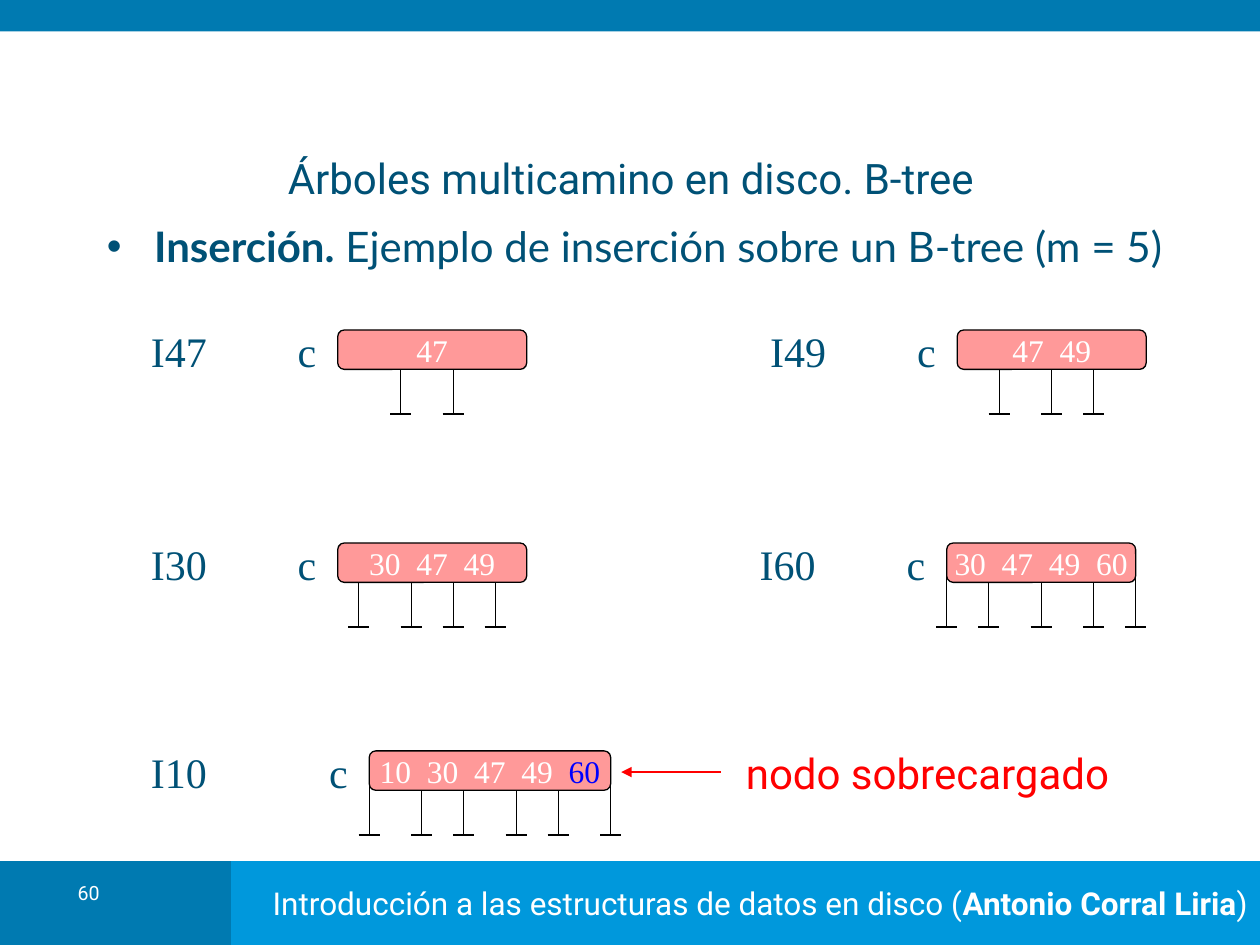
"""Build a slide showing successive insertions into a B-tree of order five."""
from lxml.etree import SubElement
from pptx import Presentation
from pptx.dml.color import RGBColor
from pptx.enum.shapes import MSO_CONNECTOR as Connector, MSO_SHAPE as Shape
from pptx.enum.text import MSO_ANCHOR as Anchor, PP_ALIGN as Align
from pptx.oxml.ns import qn
from pptx.util import Pt

COLORS = {
    "dark_blue": "007AB1", "blue": "0098DC", "text": "005176", "white": "FFFFFF",
    "node": "FF9999", "black": "000000", "red": "FF0000", "new_key": "0000FF",
}
SERIF = "Times New Roman"
SANS = "Roboto"
ROWS = (188.6, 310.3, 429.1)
STEPS = [
    ("I47", 79.2, 193, ROWS[0], 108, ["47"], (36, 66)),
    ("I30", 79.2, 193, ROWS[1], 108, ["30", "47", "49"], (12, 42, 66, 90)),
    ("I49", 433, 547, ROWS[0], 108, ["47", "49"], (24, 54, 78)),
    ("I60", 427, 541, ROWS[1], 108, ["30", "47", "49", "60"], (0, 24, 54, 84, 108)),
    ("I10", 79.2, 211, ROWS[2], 138, ["10", "30", "47", "49"], (0, 30, 54, 84, 108, 138)),
]


def color(name):
    return RGBColor.from_string(COLORS[name])


def add_run(paragraph, text, size, font, color_name, bold=False):
    run = paragraph.add_run()
    run.text = text
    run.font.size = Pt(size)
    run.font.name = font
    run.font.bold = bold
    run.font.color.rgb = color(color_name)


def add_text(shapes, left, top, width, height, align=Align.LEFT, anchor=Anchor.TOP):
    frame = shapes.add_textbox(Pt(left), Pt(top), Pt(width), Pt(height)).text_frame
    frame.word_wrap = True
    frame.vertical_anchor = anchor
    paragraph = frame.paragraphs[0]
    paragraph.alignment = align
    return paragraph


def add_box(shapes, kind, left, top, width, height, fill, outline=None):
    shape = shapes.add_shape(kind, Pt(left), Pt(top), Pt(width), Pt(height))
    shape.shadow.inherit = False
    shape.fill.solid()
    shape.fill.fore_color.rgb = color(fill)
    if outline:
        shape.line.color.rgb = color(outline)
        shape.line.width = Pt(0.75)
    else:
        shape.line.fill.background()
    shape.text_frame.word_wrap = False
    shape.text_frame.vertical_anchor = Anchor.MIDDLE
    return shape


def add_line(shapes, x1, y1, x2, y2, color_name="black", arrow=False):
    line = shapes.add_connector(Connector.STRAIGHT, Pt(x1), Pt(y1), Pt(x2), Pt(y2))
    line.line.color.rgb = color(color_name)
    line.line.width = Pt(0.75)
    if arrow:
        SubElement(line.line._get_or_add_ln(), qn("a:tailEnd"), type="triangle")
    SubElement(line._element.spPr, qn("a:effectLst"))


def add_bullet(paragraph, indent):
    properties = paragraph._p.get_or_add_pPr()
    properties.set("marL", str(Pt(indent)))
    properties.set("indent", str(-Pt(indent)))
    bullet_color = SubElement(properties, qn("a:buClr"))
    SubElement(bullet_color, qn("a:srgbClr"), val=COLORS["text"])
    SubElement(properties, qn("a:buFont"), typeface="Arial")
    SubElement(properties, qn("a:buChar"), char="•")


def add_step(slide, label, label_left, left, top, width, keys, pointers, new_key=None):
    shapes = slide.shapes.add_group_shape().shapes
    bottom = top + 48
    for offset in pointers:
        x = left + offset
        add_line(shapes, x, top + 18, x, bottom)
        add_line(shapes, x - 6, bottom, x + 6, bottom)
    node = add_box(shapes, Shape.ROUNDED_RECTANGLE, left, top, width, 22.5, "node", "black")
    paragraph = node.text_frame.paragraphs[0]
    paragraph.alignment = Align.CENTER
    if new_key:
        add_run(paragraph, "  ".join(keys) + "  ", 18, SERIF, "white")
        add_run(paragraph, new_key, 18, SERIF, "new_key")
    else:
        add_run(paragraph, "  ".join(keys), 18, SERIF, "white")
    for text, text_left, text_width in ((label, label_left, 66), ("c", left - 30, 24)):
        paragraph = add_text(shapes, text_left, top - 6, text_width, 36)
        add_run(paragraph, text, 24, SERIF, "text")


def add_frame(slide):
    shapes = slide.shapes
    add_box(shapes, Shape.RECTANGLE, 0, 492, 132, 48, "dark_blue")
    footer = add_box(shapes, Shape.RECTANGLE, 114, 492, 606, 48, "blue")
    paragraph = footer.text_frame.paragraphs[0]
    paragraph.alignment = Align.RIGHT
    add_run(paragraph, "Introducción a las estructuras de datos en disco (", 18, SANS, "white")
    add_run(paragraph, "Antonio Corral Liria", 18, SANS, "white", True)
    add_run(paragraph, ")", 18, SANS, "white")
    shapes._spTree.append(shapes[0]._element)
    add_box(shapes, Shape.RECTANGLE, 0, 0, 720, 18, "dark_blue")
    paragraph = add_text(shapes, 25.2, 502.6, 51, 23, Align.CENTER)
    paragraph.line_spacing = 0.8
    add_run(paragraph, "60", 11.2, SANS, "white")


def add_headings(slide):
    title = add_text(slide.shapes, 60, 86.4, 601, 30, Align.CENTER, Anchor.MIDDLE)
    add_run(title, "Árboles multicamino en disco. B-tree", 24, SANS, "text")
    body = add_text(slide.shapes, 54, 122.4, 651.6, 368.6)
    add_bullet(body, 27)
    add_run(body, "Inserción.", 24, "Lato", "text", True)
    add_run(body, " Ejemplo de inserción sobre un B-tree (m = 5)", 24, "Lato", "text")


def add_overflow_note(slide):
    shapes = slide.shapes.add_group_shape().shapes
    note = add_text(shapes, 412, 423.4, 236, 36, Align.CENTER, Anchor.MIDDLE)
    add_run(note, "nodo sobrecargado", 24, SANS, "red")
    add_line(shapes, 412, 441.2, 355, 441.2, "red", arrow=True)


def main():
    presentation = Presentation()
    presentation.slide_width = Pt(720)
    presentation.slide_height = Pt(540)
    slide = presentation.slides.add_slide(presentation.slide_layouts[6])
    add_frame(slide)
    add_headings(slide)
    for step in STEPS[:-1]:
        add_step(slide, *step)
    add_step(slide, *STEPS[-1], new_key="60")
    add_overflow_note(slide)
    presentation.save("out.pptx")


if __name__ == "__main__":
    main()
